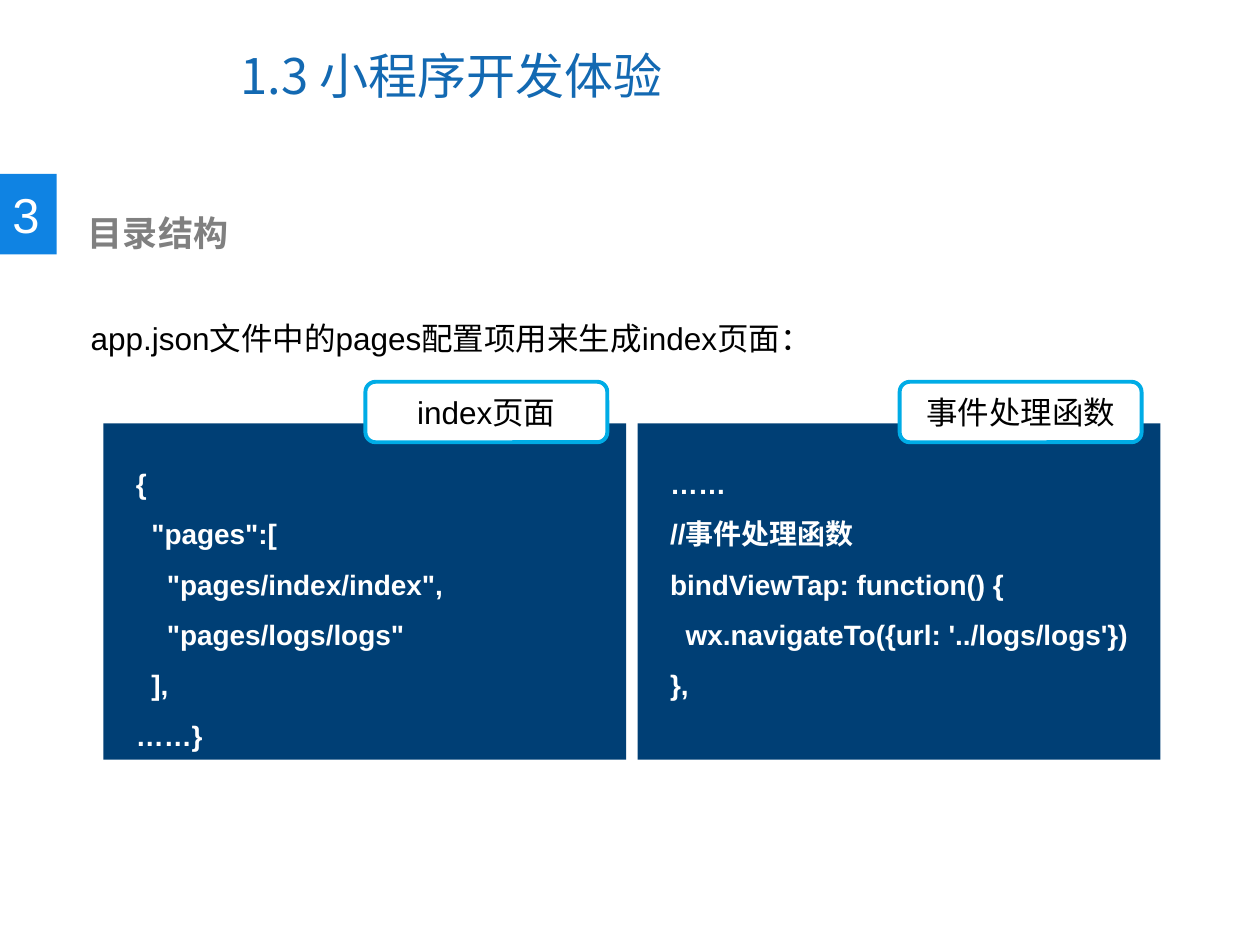
import pptx
import pptx.dml.color
import pptx.enum.shapes
import pptx.enum.text
import pptx.oxml.ns
import pptx.util
import lxml.etree

Shape = pptx.enum.shapes.MSO_SHAPE
Align = pptx.enum.text.PP_ALIGN
Anchor = pptx.enum.text.MSO_ANCHOR

COLORS = {
    "title": "1369B2",
    "badge": "0F83E3",
    "head": "808080",
    "panel": "003F75",
    "edge": "00ACE6",
    "white": "FFFFFF",
    "black": "000000",
}
SANS = "Arial"
HAN = "Noto Sans CJK SC"

PAGES = """{
  "pages":[
    "pages/index/index",
    "pages/logs/logs"
  ],
……}"""

EVENTS = """……
//事件处理函数
bindViewTap: function() {
  wx.navigateTo({url: '../logs/logs'})
},"""


def color(name):
    return pptx.dml.color.RGBColor.from_string(COLORS[name])


def write(frame, text, size=18, tint="black", bold=False, font=SANS,
          align=Align.LEFT, anchor=Anchor.TOP, space=1):
    frame.word_wrap = True
    frame.vertical_anchor = anchor
    for i, line in enumerate(text.split("\n")):
        para = frame.paragraphs[0] if i == 0 else frame.add_paragraph()
        para.alignment = align
        para.line_spacing = space
        run = para.add_run()
        run.text = line
        run.font.size = pptx.util.Pt(size)
        run.font.bold = bold
        run.font.color.rgb = color(tint)
        run.font.name = font
        east = lxml.etree.SubElement(run.font._element, pptx.oxml.ns.qn("a:ea"))
        east.set("typeface", HAN)


class Deck:
    cols, rows = 100, 75

    def __init__(self):
        self.prs = pptx.Presentation()
        self.prs.slide_width = pptx.util.Inches(10)
        self.prs.slide_height = pptx.util.Inches(7.5)
        self.slide = self.prs.slides.add_slide(self.prs.slide_layouts[5])

    def place(self, col, row, wide, high):
        x = self.prs.slide_width / self.cols
        y = self.prs.slide_height / self.rows
        return int(col * x), int(row * y), int(wide * x), int(high * y)

    def title(self, text, *box):
        head = self.slide.shapes.title
        head.left, head.top, head.width, head.height = self.place(*box)
        write(head.text_frame, text, size=28, tint="title", font=HAN,
              anchor=Anchor.MIDDLE)

    def text(self, text, *box, **style):
        area = self.slide.shapes.add_textbox(*self.place(*box))
        write(area.text_frame, text, **style)

    def block(self, fill, *box, kind=Shape.RECTANGLE, edge=None):
        shape = self.slide.shapes.add_shape(kind, *self.place(*box))
        shape.shadow.inherit = False
        shape.fill.solid()
        shape.fill.fore_color.rgb = color(fill)
        if edge:
            shape.line.color.rgb = color(edge)
            shape.line.width = pptx.util.Pt(2.25)
        else:
            shape.line.fill.background()
        return shape

    def badge(self, text, *box):
        shape = self.block("badge", *box)
        write(shape.text_frame, text, size=28, tint="white",
              anchor=Anchor.MIDDLE)

    def panel(self, label, code, col):
        top, wide, high = 33.6, 41.5, 26.7
        self.block("panel", col, top, wide, high)
        self.text(code, col + 1.6, top + 1.6, 42.9, high - 1.6,
                  size=16, tint="white", bold=True, space=1.5)
        tab = self.block("white", col + 20.8, 30.3, 19.2, 4.8,
                         kind=Shape.ROUNDED_RECTANGLE, edge="edge")
        write(tab.text_frame, label, align=Align.CENTER, anchor=Anchor.MIDDLE)


def main():
    deck = Deck()
    deck.title("1.3 小程序开发体验", 18.1, 1.7, 51.6, 8.5)
    deck.badge("3", 0, 13.8, 4.5, 6.4)
    deck.text("目录结构", 6, 16.3, 50, 4.4,
              size=20, tint="head", bold=True, font=HAN)
    deck.text("app.json文件中的pages配置项用来生成index页面：",
              6.2, 21.8, 86.5, 6.1, space=2)
    panels = [("index页面", PAGES), ("事件处理函数", EVENTS)]
    for i, (label, code) in enumerate(panels):
        deck.panel(label, code, 8.2 + 42.4 * i)
    deck.prs.save("out.pptx")


if __name__ == "__main__":
    main()
